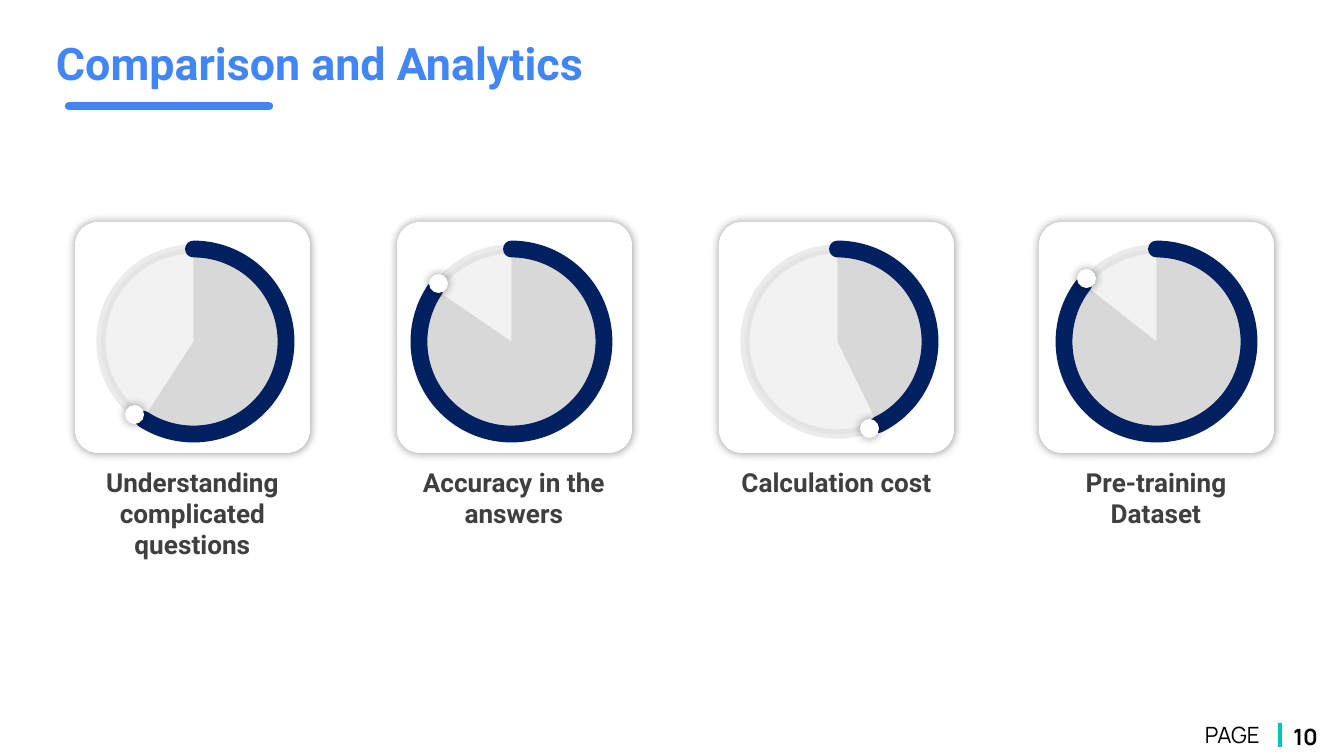
from lxml.etree import SubElement
from pptx import Presentation
from pptx.dml.color import RGBColor
from pptx.enum.shapes import MSO_CONNECTOR, MSO_SHAPE
from pptx.enum.text import MSO_ANCHOR, PP_ALIGN
from pptx.oxml import parse_xml
from pptx.oxml.ns import qn
from pptx.util import Pt

PX = 6804
NAMESPACE = "http://schemas.openxmlformats.org/drawingml/2006/main"
GLOW = (
    f'<a:outerShdw xmlns:a="{NAMESPACE}" blurRad="63500" dist="0" algn="ctr" rotWithShape="0">'
    '<a:srgbClr val="000000"><a:alpha val="40000"/></a:srgbClr></a:outerShdw>'
)
color = RGBColor.from_string


def add_shape(parent, kind, left, top, width, height, fill, glow=False):
    shape = parent.shapes.add_shape(kind, left * PX, top * PX, width * PX, height * PX)
    shape.fill.solid()
    shape.fill.fore_color.rgb = color(fill)
    shape.line.fill.background()
    shape.shadow.inherit = False
    if glow:
        shape._element.spPr.find(qn("a:effectLst")).append(parse_xml(GLOW))
    return shape


def add_text(parent, text, left, top, width, height, size, font, ink, bold=True, align=PP_ALIGN.CENTER):
    box = parent.shapes.add_textbox(left * PX, top * PX, width * PX, height * PX)
    frame = box.text_frame
    frame.word_wrap = True
    frame.margin_left = frame.margin_right = 10 * PX
    frame.margin_top = frame.margin_bottom = 5 * PX
    para = frame.paragraphs[0]
    para.text = text
    para.alignment = align
    para.font.size = Pt(size)
    para.font.name = font
    para.font.bold = bold
    para.font.color.rgb = color(ink)
    return box


deck = Presentation()
deck.slide_width = 1344 * PX
deck.slide_height = 756 * PX
page = deck.slides.add_slide(deck.slide_layouts[6])

add_text(page, "PAGE", 1195, 716, 98, 38, 12, "Manrope", "000000", False, PP_ALIGN.LEFT)
add_shape(page, MSO_SHAPE.RECTANGLE, 1278, 723, 4, 24, "07C5B3")
number = add_text(page, "10", 1274, 718, 63, 38, 12, "Manrope", "000000")
number.text_frame.vertical_anchor = MSO_ANCHOR.MIDDLE

CARD_WIDTH = 235
DIAL = 185
KNOB = 19
gauges = [
    ("Understanding complicated questions", 75, 101, 123, (125, 405), (249, 137)),
    ("Accuracy in the answers", 397, 419, 214.34, (429, 274), (216, 74)),
    ("Calculation cost", 719, 745, 63.99, (860, 419), (241, 42)),
    ("Pre-training Dataset", 1039, 1064, 218.18, (1077, 269), (250, 42)),
]
for caption, card_left, dial_left, end_angle, knob_at, (caption_width, caption_height) in gauges:
    gauge = page.shapes.add_group_shape()
    card = add_shape(gauge, MSO_SHAPE.ROUNDED_RECTANGLE, card_left, 222, CARD_WIDTH, 231, "FFFFFF", True)
    card.adjustments[0] = 0.1

    track = add_shape(gauge, MSO_SHAPE.OVAL, dial_left, 249, DIAL, DIAL, "F2F2F2")
    track.line.color.rgb = color("D8D8D8")
    track.line.width = Pt(5)
    tint = track.line._ln.find(qn("a:solidFill"))[0]
    SubElement(tint, qn("a:alpha"), val="50000")

    arc = add_shape(gauge, MSO_SHAPE.ARC, dial_left, 249, DIAL, DIAL, "D8D8D8")
    arc.adjustments[0] = 270 * 0.6
    arc.adjustments[1] = end_angle * 0.6
    arc.line.color.rgb = color("002060")
    arc.line.width = Pt(9)
    arc.line._ln.set("cap", "rnd")

    add_shape(gauge, MSO_SHAPE.OVAL, *knob_at, KNOB, KNOB, "FFFFFF", True)
    caption_left = card_left + (CARD_WIDTH - caption_width) // 2
    add_text(gauge, caption, caption_left, 461, caption_width, caption_height, 14, "Roboto", "3F3F3F")

add_text(page, "Comparison and Analytics", 46, 31, 589, 65, 24, "Roboto", "4285F4", align=PP_ALIGN.LEFT)
underline = page.shapes.add_connector(MSO_CONNECTOR.STRAIGHT, 269 * PX, 106 * PX, 69 * PX, 106 * PX)
underline.line.color.rgb = color("4285F4")
underline.line.width = Pt(4.5)
underline.line._ln.set("cap", "rnd")
SubElement(underline._element.spPr, qn("a:effectLst"))

deck.save("out.pptx")
